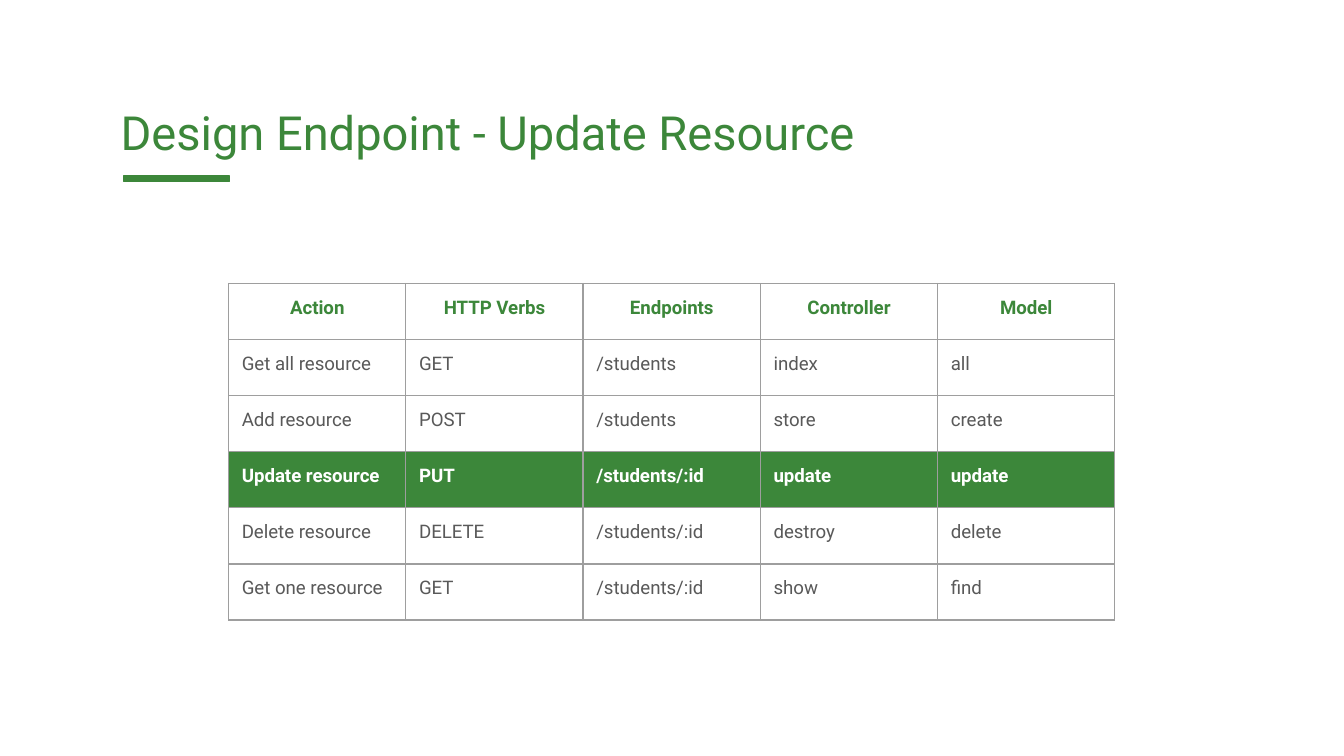
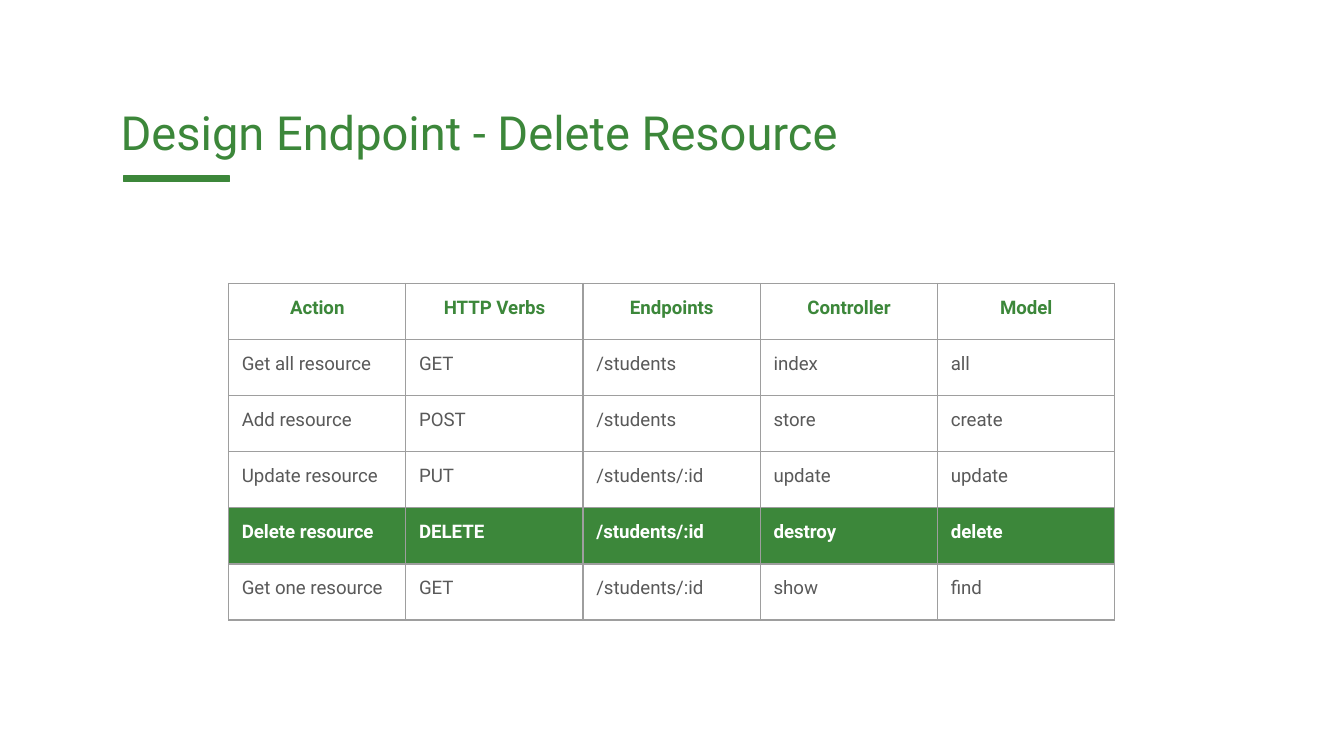
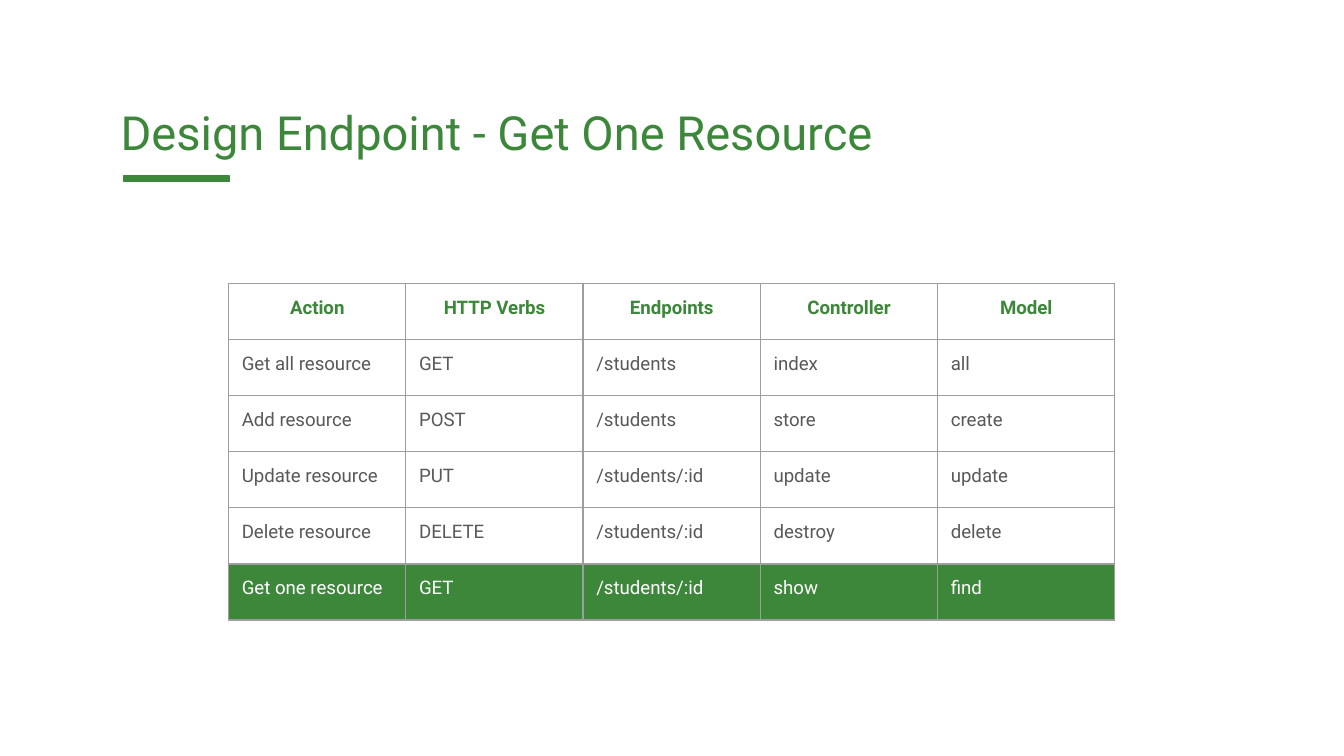
from lxml import etree
from pptx import Presentation
from pptx.dml.color import RGBColor
from pptx.enum.shapes import MSO_SHAPE
from pptx.enum.text import MSO_ANCHOR, PP_ALIGN
from pptx.oxml.ns import qn
from pptx.util import Cm, Pt

RECT = MSO_SHAPE.RECTANGLE
TOP = MSO_ANCHOR.TOP
LEFT, CENTER = PP_ALIGN.LEFT, PP_ALIGN.CENTER

# Shared look
FONT = "Roboto"
COLORS = {"green": "3C873A", "text": "595959", "white": "FFFFFF", "grid": "9E9E9E"}
INSET = Cm(0.25)
COL_WIDTH, ROW_HEIGHT = Cm(3.35), Cm(1.06)

# Table content
HEAD = ["Action", "HTTP Verbs", "Endpoints", "Controller", "Model"]
ROUTES = [
    ["Get all resource", "GET", "/students", "index", "all"],
    ["Add resource", "POST", "/students", "store", "create"],
    ["Update resource", "PUT", "/students/:id", "update", "update"],
    ["Delete resource", "DELETE", "/students/:id", "destroy", "delete"],
    ["Get one resource", "GET", "/students/:id", "show", "find"],
]

# Title ending, marked table row, bold mark
PAGES = [
    ("Update Resource", 3, True),
    ("Delete Resource", 4, True),
    ("Get One Resource", 5, False),
]


def color(name):
    return RGBColor.from_string(COLORS[name])


def add_run(para, text, size, tint, bold=False):
    run = para.add_run()
    run.text = text
    font = run.font
    font.name, font.size, font.bold = FONT, Pt(size), bold
    font.color.rgb = color(tint)


def add_title(slide, text):
    box = slide.shapes.add_textbox(Cm(2.03), Cm(1.65), Cm(21.36), Cm(1.5))
    frame = box.text_frame
    frame.word_wrap = True
    frame.vertical_anchor = TOP
    frame.margin_left = frame.margin_right = frame.margin_bottom = INSET
    frame.margin_top = Cm(0.31)
    add_run(frame.paragraphs[0], text, 25.2, "green")


def add_bar(slide):
    bar = slide.shapes.add_shape(RECT, Cm(2.34), Cm(3.33), Cm(2), Cm(0.1))
    bar.shadow.inherit = False
    bar.fill.solid()
    bar.fill.fore_color.rgb = color("green")
    bar.line.color.rgb = color("green")
    bar.line.width = Pt(0.75)


def add_edges(cell):
    props = cell._tc.get_or_add_tcPr()
    for side in ("lnL", "lnR", "lnT", "lnB"):
        edge = etree.SubElement(props, qn(f"a:{side}"), w=str(Pt(0.75)))
        fill = etree.SubElement(edge, qn("a:solidFill"))
        etree.SubElement(fill, qn("a:srgbClr"), val=COLORS["grid"])


def fill_cell(cell, text, tint, bold, align, marked):
    cell.margin_left = cell.margin_right = INSET
    cell.margin_top = cell.margin_bottom = INSET
    cell.vertical_anchor = TOP
    add_edges(cell)
    if marked:
        cell.fill.solid()
        cell.fill.fore_color.rgb = color("green")
    else:
        cell.fill.background()
    para = cell.text_frame.paragraphs[0]
    para.alignment = align
    add_run(para, text, 10, tint, bold)


def add_routes(slide, mark, bold):
    rows = [HEAD] + ROUTES
    table = slide.shapes.add_table(
        len(rows), len(HEAD), Cm(4.32), Cm(5.36),
        COL_WIDTH * len(HEAD), ROW_HEIGHT * len(rows)).table
    table.first_row = table.horz_banding = False
    for col in table.columns:
        col.width = COL_WIDTH
    for i, row in enumerate(rows):
        table.rows[i].height = ROW_HEIGHT
        # Tint, weight and alignment of this row
        if i == 0:
            style = "green", True, CENTER
        elif i == mark:
            style = "white", bold, LEFT
        else:
            style = "text", False, LEFT
        for j, text in enumerate(row):
            fill_cell(table.cell(i, j), text, *style, i == mark)


def main():
    deck = Presentation()
    deck.slide_width, deck.slide_height = Cm(25.4), Cm(14.29)
    blank = deck.slide_layouts[6]
    for name, mark, bold in PAGES:
        slide = deck.slides.add_slide(blank)
        add_title(slide, f"Design Endpoint - {name}")
        add_bar(slide)
        add_routes(slide, mark, bold)
    deck.save("out.pptx")


if __name__ == "__main__":
    main()
